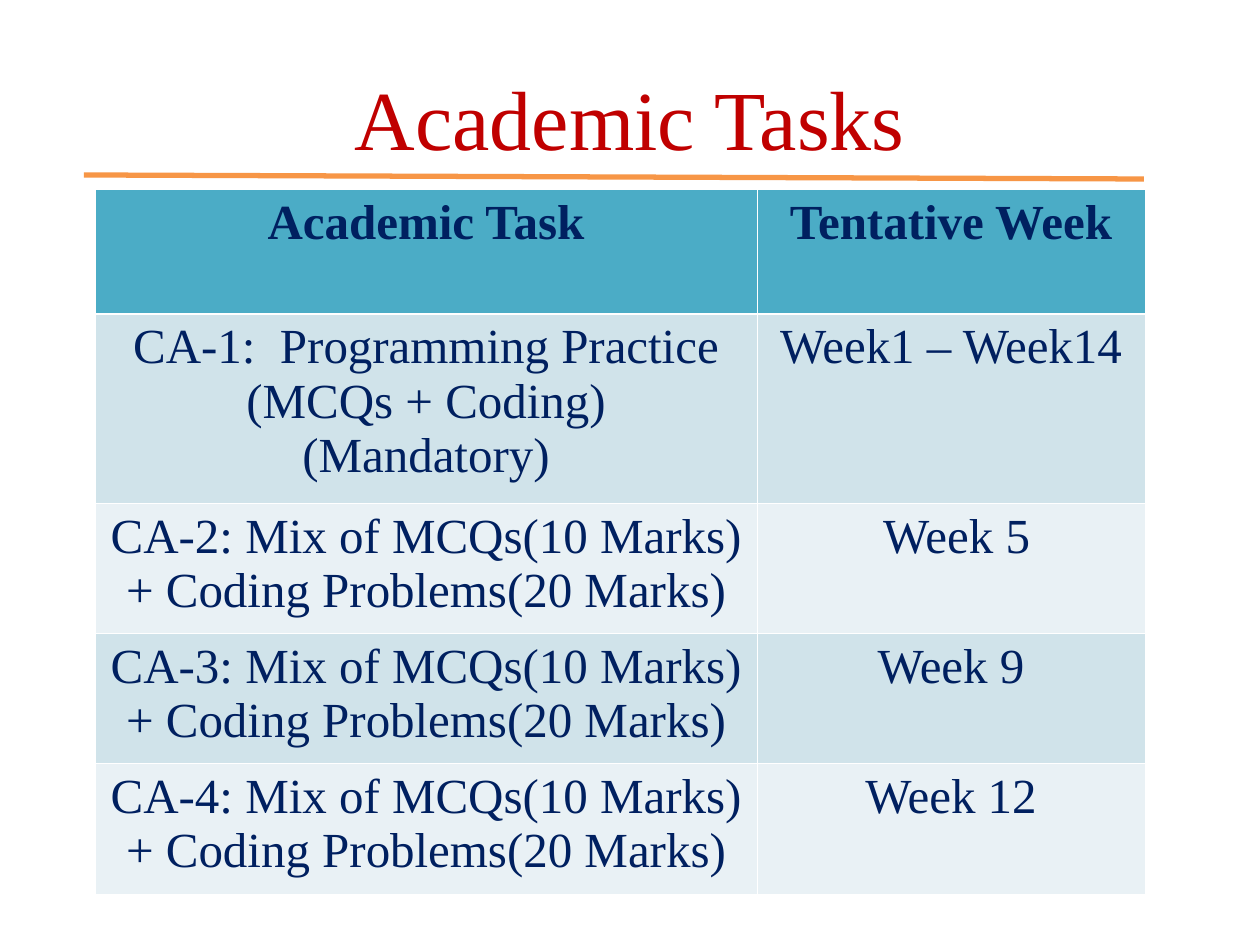
import pptx
import pptx.util
import pptx.dml.color
import pptx.enum.shapes
import pptx.enum.text
import pptx.oxml.ns
import lxml.etree

EMU_PER_PX = 914400 / 126
FONT = "Times New Roman"
NAVY, RED, ORANGE, WHITE = "002060", "C00000", "F79646", "FFFFFF"
HEADER_FILL, BAND_FILLS = "4BACC6", ("D0E3EA", "E9F1F5")
THIN, THICK = 0.45, 1.47


def px(length):
    return pptx.util.Emu(round(length * EMU_PER_PX))


def color(value):
    return pptx.dml.color.RGBColor.from_string(value)


def add_xml(parent, tag, **attributes):
    return lxml.etree.SubElement(parent, pptx.oxml.ns.qn(tag), attributes)


class SlideBuilder:
    def __init__(self, slide):
        self.slide = slide

    def set_text(self, frame, text, size, ink, bold=False):
        frame.text = text
        for paragraph in frame.paragraphs:
            paragraph.alignment = pptx.enum.text.PP_ALIGN.CENTER
            for run in paragraph.runs:
                run.font.name = FONT
                run.font.size = pptx.util.Pt(size)
                run.font.bold = bold
                run.font.color.rgb = color(ink)

    def title(self, text, left, top, width, height):
        heading = self.slide.shapes.add_textbox(px(left), px(top), px(width), px(height))
        frame = heading.text_frame
        frame.word_wrap = True
        frame.vertical_anchor = pptx.enum.text.MSO_ANCHOR.MIDDLE
        self.set_text(frame, text, 48, RED)

    def rule(self, x1, y1, x2, y2):
        underline = self.slide.shapes.add_connector(
            pptx.enum.shapes.MSO_CONNECTOR.STRAIGHT, px(x1), px(y1), px(x2), px(y2))
        underline.line.color.rgb = color(ORANGE)
        underline.line.width = pptx.util.Pt(3)
        add_xml(underline.element.spPr, "a:effectLst")

    def borders(self, cell, top, bottom):
        properties = cell._tc.get_or_add_tcPr()
        for side, width in (("L", THIN), ("R", THIN), ("T", top), ("B", bottom)):
            edge = add_xml(properties, f"a:ln{side}", w=str(int(pptx.util.Pt(width))))
            add_xml(add_xml(edge, "a:solidFill"), "a:srgbClr", val=WHITE)

    def table(self, rows, left, top, widths, heights):
        schedule = self.slide.shapes.add_table(
            len(rows), len(widths), px(left), px(top), px(sum(widths)), px(sum(heights))).table
        for column, width in zip(schedule.columns, widths):
            column.width = px(width)
        for index, (texts, height) in enumerate(zip(rows, heights)):
            schedule.rows[index].height = px(height)
            is_header = index == 0
            fill = HEADER_FILL if is_header else BAND_FILLS[(index - 1) % 2]
            for cell, text in zip(schedule.rows[index].cells, texts):
                self.borders(cell, THICK if index == 1 else THIN, THICK if is_header else THIN)
                cell.fill.solid()
                cell.fill.fore_color.rgb = color(fill)
                self.set_text(cell.text_frame, text, 28, NAVY, is_header)


def main():
    deck = pptx.Presentation()
    deck.slide_width, deck.slide_height = px(1260), px(945)
    builder = SlideBuilder(deck.slides.add_slide(deck.slide_layouts[6]))
    builder.title("Academic Tasks", 63, 38, 1134, 158)
    builder.rule(84, 175, 1144, 179)
    tests = [
        (f"CA-{number}: Mix of MCQs(10 Marks) + Coding Problems(20 Marks)", week)
        for number, week in ((2, " Week 5"), (3, "Week 9"), (4, "Week 12"))
    ]
    rows = [
        ("Academic Task", "Tentative Week"),
        ("CA-1:  Programming Practice (MCQs + Coding)\n(Mandatory)", "Week1 – Week14"),
        *tests,
    ]
    builder.table(rows, 95, 189, (662, 388), (125, 189, 130, 130, 130))
    deck.save("out.pptx")


if __name__ == "__main__":
    main()
